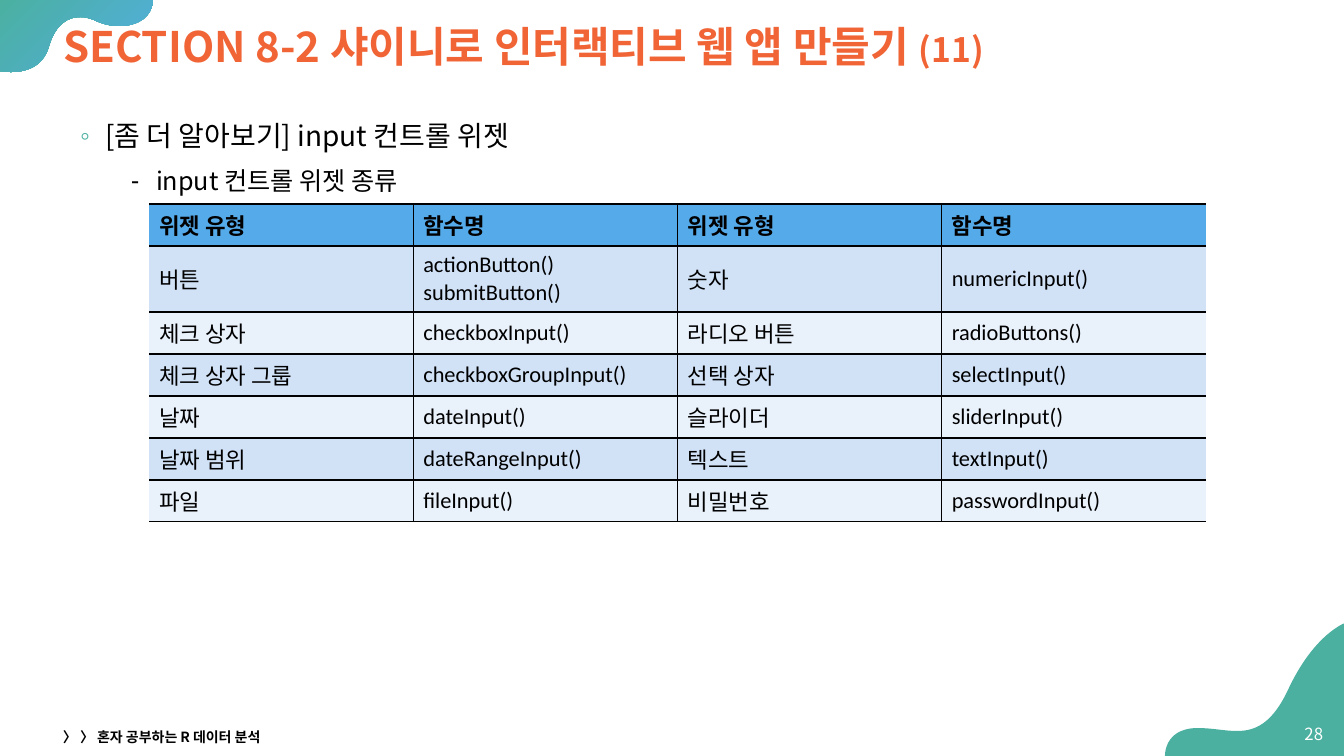
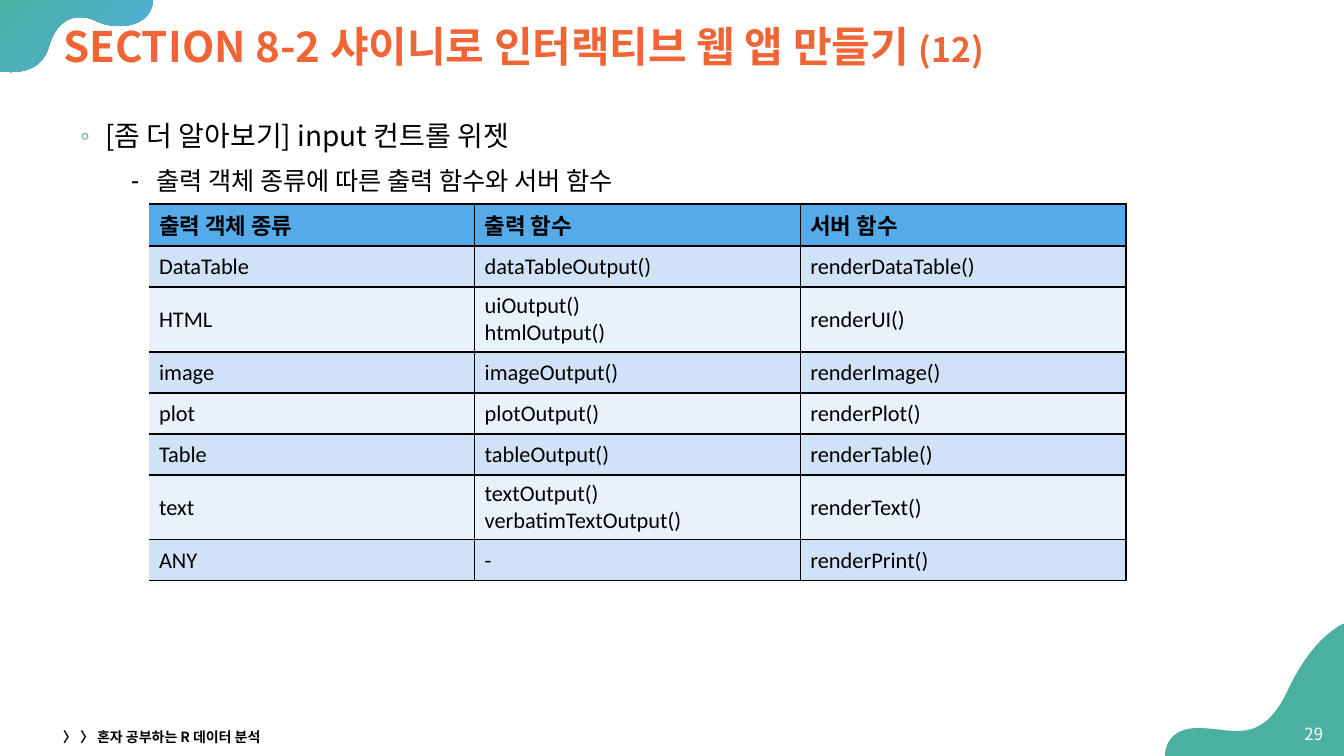
from lxml.etree import SubElement
from pptx import Presentation
from pptx.dml.color import RGBColor
from pptx.enum.text import MSO_ANCHOR, MSO_AUTO_SIZE, PP_ALIGN
from pptx.oxml.ns import qn
from pptx.util import Emu, Pt

EMU_PER_PX = 914400 / 100.8
KOREAN = "Noto Sans CJK KR"
LATIN = "Calibri"
ORANGE, TEAL, SKY = "F06436", "4BB0A0", "52AEE1"
BLACK, WHITE = "000000", "FFFFFF"
HEADER_FILL, ROW_FILLS = "55AAEA", ("D1E2F7", "E9F1FB")
HEADER_HEIGHT, EXTRA_LINE = 42, 24

SECTION = "SECTION 8-2 샤이니로 인터랙티브 웹 앱 만들기 "
TOPIC = "[좀 더 알아보기] input 컨트롤 위젯"
BOOK = "〉 〉 혼자 공부하는 R 데이터 분석"

TOP_WAVE = [
    [(153, -2)], [(-1, -2)], [(-1, 71)],
    [(-1, 71), (4, 72), (11, 72)],
    [(24, 72), (43, 68), (49, 46)],
    [(56, 23), (69, 17), (80, 17)],
    [(85, 17), (89, 18), (94, 20)],
    [(102, 24), (111, 26), (119, 26)],
    [(138, 26), (153, 17), (153, -2)],
]
BOTTOM_WAVE = [
    [(1345, 623)],
    [(1345, 623), (1314, 634), (1288, 690)],
    [(1272, 724), (1255, 731), (1237, 731)],
    [(1225, 731), (1212, 728), (1198, 728)],
    [(1163, 728), (1165, 757), (1165, 757)],
    [(1345, 757)],
    [(1345, 623)],
]

WIDGETS = [
    ("위젯 유형", "함수명", "위젯 유형", "함수명"),
    ("버튼", "actionButton()\nsubmitButton()", "숫자", "numericInput()"),
    ("체크 상자", "checkboxInput()", "라디오 버튼", "radioButtons()"),
    ("체크 상자 그룹", "checkboxGroupInput()", "선택 상자", "selectInput()"),
    ("날짜", "dateInput()", "슬라이더", "sliderInput()"),
    ("날짜 범위", "dateRangeInput()", "텍스트", "textInput()"),
    ("파일", "fileInput()", "비밀번호", "passwordInput()"),
]
OUTPUTS = [
    ("출력 객체 종류", "출력 함수", "서버 함수"),
    ("DataTable", "dataTableOutput()", "renderDataTable()"),
    ("HTML", "uiOutput()\nhtmlOutput()", "renderUI()"),
    ("image", "imageOutput()", "renderImage()"),
    ("plot", "plotOutput()", "renderPlot()"),
    ("Table", "tableOutput()", "renderTable()"),
    ("text", "textOutput()\nverbatimTextOutput()", "renderText()"),
    ("ANY", "-", "renderPrint()"),
]


def px(length):
    return Emu(round(length * EMU_PER_PX))


def rgb(color):
    return RGBColor.from_string(color)


def write(paragraph, text, size=16, color=BLACK, bold=False, font=KOREAN):
    run = paragraph.add_run()
    run.text = text
    run.font.size = Pt(size)
    run.font.bold = bold
    run.font.color.rgb = rgb(color)
    run.font.name = font


def place(shape, left, top, width, height):
    shape.left, shape.top = px(left), px(top)
    shape.width, shape.height = px(width), px(height)


def add_label(slide, text, box, align=PP_ALIGN.LEFT, **style):
    frame = slide.shapes.add_textbox(*map(px, box)).text_frame
    frame.word_wrap = True
    frame.vertical_anchor = MSO_ANCHOR.MIDDLE
    frame.paragraphs[0].alignment = align
    write(frame.paragraphs[0], text, **style)


def bend(wave, segments):
    sides = list(wave.element.iter(qn("a:lnTo")))
    for side, segment in zip(sides, segments):
        if len(segment) == 1:
            continue
        side.clear()
        curve = side.makeelement(qn("a:cubicBezTo"))
        for x, y in segment:
            SubElement(curve, qn("a:pt"), x=str(px(x) - wave.left), y=str(px(y) - wave.top))
        side.getparent().replace(side, curve)


def add_wave(slide, segments, colors):
    start, *corners = [tuple(map(px, segment[-1])) for segment in segments]
    builder = slide.shapes.build_freeform(*start)
    builder.add_line_segments(corners)
    wave = builder.convert_to_shape()
    bend(wave, segments[1:])
    wave.shadow.inherit = False
    wave.line.fill.background()
    if len(colors) == 1:
        wave.fill.solid()
        wave.fill.fore_color.rgb = rgb(colors[0])
    else:
        wave.fill.gradient()
        wave.fill.gradient_angle = 315
        for stop, color in zip(wave.fill.gradient_stops, colors):
            stop.color.rgb = rgb(color)
    return wave


def prepare_layout(layout):
    title, body, *footers = layout.placeholders
    place(title, 53, 12, 1244, 74)
    place(body, 70, 107, 1244, 580)
    for footer in footers:
        layout.shapes.element.remove(footer.element)


def share_waves(slide):
    for segments, colors in ((TOP_WAVE, (TEAL, SKY)), (BOTTOM_WAVE, (TEAL,))):
        wave = add_wave(slide, segments, colors)
        slide.slide_layout.shapes.element.append(wave.element)


def fill_title(slide, part):
    frame = slide.shapes.title.text_frame
    frame.auto_size = MSO_AUTO_SIZE.NONE
    frame.vertical_anchor = MSO_ANCHOR.MIDDLE
    heading = frame.paragraphs[0]
    heading.alignment = PP_ALIGN.LEFT
    heading.line_spacing = 0.9
    write(heading, SECTION, size=30, color=ORANGE, bold=True)
    write(heading, f"({part})", size=24, color=ORANGE, bold=True)


def add_bullet(paragraph, symbol, color, margin, indent):
    properties = paragraph._p.get_or_add_pPr()
    properties.set("marL", str(px(margin)))
    properties.set("indent", str(px(-indent)))
    bullet_color = SubElement(properties, qn("a:buClr"))
    SubElement(bullet_color, qn("a:srgbClr"), val=color)
    SubElement(properties, qn("a:buChar"), char=symbol)


def fill_body(slide, subtopic):
    frame = slide.placeholders[1].text_frame
    frame.auto_size = MSO_AUTO_SIZE.NONE
    topic, detail = frame.paragraphs[0], frame.add_paragraph()
    detail.level = 1
    add_bullet(topic, "◦", TEAL, 25, 25)
    add_bullet(detail, "⁃", BLACK, 76, 25)
    for paragraph, space in ((topic, 0), (detail, 5)):
        paragraph.line_spacing = 1.2
        paragraph.space_before = Pt(space)
    write(topic, TOPIC, size=20)
    write(detail, subtopic, size=18)


def set_borders(cell, hidden):
    properties = cell._tc.get_or_add_tcPr()
    for side in "LRTB":
        line = SubElement(properties, qn(f"a:ln{side}"), w=str(Pt(1)))
        if side in hidden:
            SubElement(line, qn("a:noFill"))
        else:
            fill = SubElement(line, qn("a:solidFill"))
            SubElement(fill, qn("a:srgbClr"), val=BLACK)


def fill_cell(cell, text, fill, bold, hidden):
    set_borders(cell, hidden)
    cell.fill.solid()
    cell.fill.fore_color.rgb = rgb(fill)
    cell.vertical_anchor = MSO_ANCHOR.MIDDLE
    for index, line in enumerate(text.split("\n")):
        frame = cell.text_frame
        paragraph = frame.add_paragraph() if index else frame.paragraphs[0]
        write(paragraph, line, bold=bold, font=LATIN)


def add_grid(slide, rows, width, row_height, open_right):
    columns = len(rows[0])
    heights = [HEADER_HEIGHT] + [
        row_height + EXTRA_LINE * max(text.count("\n") for text in row)
        for row in rows[1:]]
    grid = slide.shapes.add_table(
        len(rows), columns, px(149), px(204), px(width), px(sum(heights))).table
    for column in grid.columns:
        column.width = px(width / columns)
    for r, row in enumerate(rows):
        grid.rows[r].height = px(heights[r])
        fill = ROW_FILLS[(r - 1) % 2] if r else HEADER_FILL
        for c, text in enumerate(row):
            hidden = "L" if c == 0 else "R" if open_right and c == columns - 1 else ""
            fill_cell(grid.cell(r, c), text, fill, r == 0, hidden)


def add_page(deck, part, number, subtopic):
    slide = deck.slides.add_slide(deck.slide_layouts[1])
    if len(deck.slides) == 1:
        share_waves(slide)
    fill_title(slide, part)
    fill_body(slide, subtopic)
    add_label(slide, str(number), (1289, 714, 44, 40), align=PP_ALIGN.RIGHT,
              size=12, color=WHITE)
    add_label(slide, BOOK, (53, 725, 454, 24), size=10, bold=True)
    return slide


def main():
    deck = Presentation()
    deck.slide_width, deck.slide_height = px(1344), px(756)
    prepare_layout(deck.slide_layouts[1])
    widgets = add_page(deck, 11, 28, "input 컨트롤 위젯 종류")
    add_grid(widgets, WIDGETS, width=1057, row_height=42, open_right=True)
    outputs = add_page(deck, 12, 29, "출력 객체 종류에 따른 출력 함수와 서버 함수")
    add_grid(outputs, OUTPUTS, width=977, row_height=41, open_right=False)
    deck.save("out.pptx")


if __name__ == "__main__":
    main()
